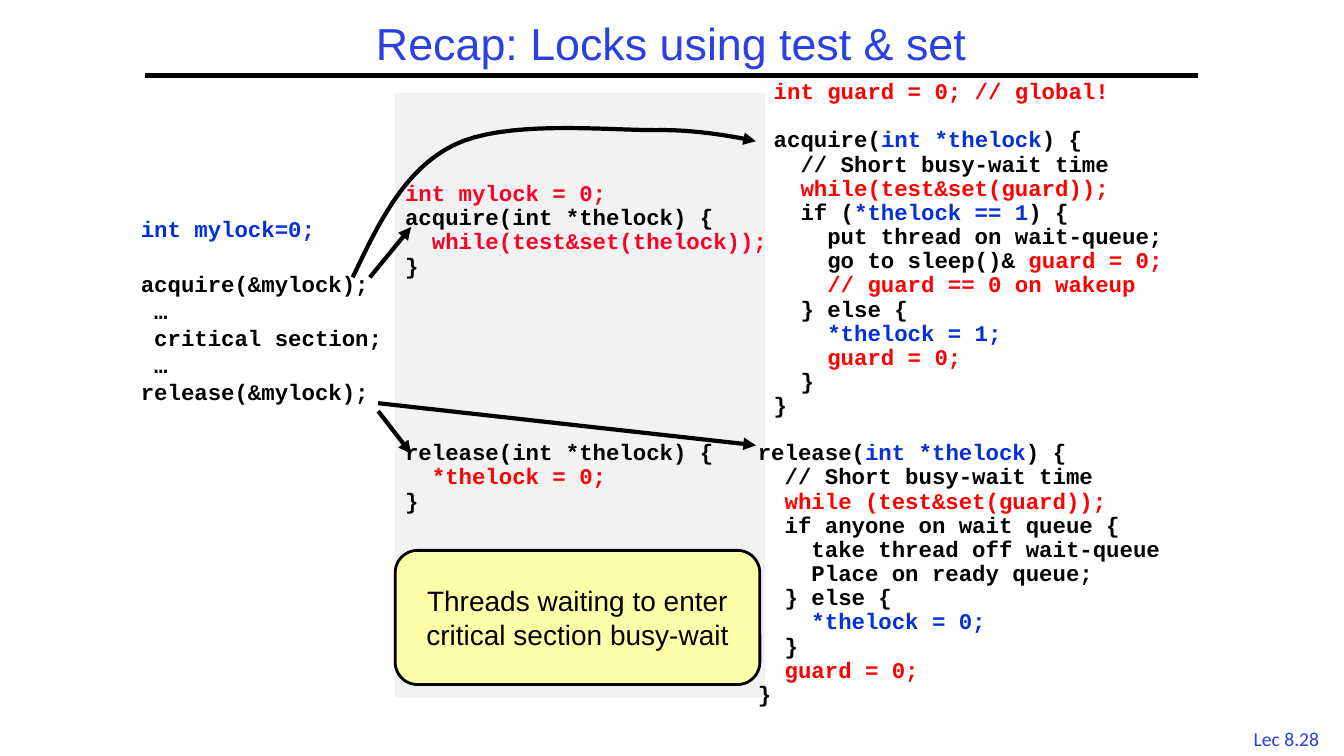
from dataclasses import dataclass

from pptx import Presentation
from pptx.dml.color import RGBColor
from pptx.enum import shapes, text
from pptx.oxml import ns, xmlchemy
from pptx.util import Cm, Pt


@dataclass(frozen=True)
class Theme:
    title: str = "2A40E2"
    black: str = "000000"
    blue: str = "0330D8"
    red: str = "FF0000"
    crimson: str = "FC0128"
    panel: str = "F2F2F2"
    callout: str = "FFFFAA"
    title_size: int = 32
    callout_size: int = 20
    code_size: int = 16
    footer_size: int = 14


theme = Theme()
BLACK, BLUE, RED, CRIMSON = theme.black, theme.blue, theme.red, theme.crimson


def write(frame, lines, font="Courier New", size=theme.code_size, color=BLACK, bold=True,
          align=text.PP_ALIGN.LEFT, spacing=0.9, before=0, gaps=None, wrap=True):
    """Write one paragraph per line; a line is a string or a list of (text, colour) runs.

    gaps maps a line index to its own space before, in points.
    """
    frame.word_wrap = wrap
    for index, line in enumerate(lines):
        paragraph = frame.add_paragraph() if index else frame.paragraphs[0]
        paragraph.alignment = align
        paragraph.line_spacing = spacing
        paragraph.space_before = Pt((gaps or {}).get(index, before if index else 0))
        for words, run_color in [(line, color)] if isinstance(line, str) else line:
            run = paragraph.add_run()
            run.text = words
            run.font.name = font
            run.font.size = Pt(size)
            run.font.bold = bold
            run.font.color.rgb = RGBColor.from_string(run_color)


def draw_stroke(shape, arrow=True):
    """Give a connector or an open curve the black 3 pt stroke."""
    shape.line.color.rgb = RGBColor.from_string(BLACK)
    shape.line.width = Pt(3)
    properties = shape._element.spPr
    if arrow:
        tail = xmlchemy.OxmlElement("a:tailEnd")
        tail.set("type", "triangle")
        properties.find(ns.qn("a:ln")).append(tail)
    if properties.find(ns.qn("a:effectLst")) is None:
        properties.append(xmlchemy.OxmlElement("a:effectLst"))


presentation = Presentation()
presentation.slide_width, presentation.slide_height = Cm(33.87), Cm(19.05)
slide = presentation.slides.add_slide(presentation.slide_layouts[5])

# Title, rule and lecture number
title = slide.shapes.title
title.left, title.top, title.width, title.height = Cm(3.66), Cm(0.43), Cm(26.52), Cm(1.47)
title.text_frame.auto_size = text.MSO_AUTO_SIZE.NONE
title.text_frame.vertical_anchor = text.MSO_ANCHOR.MIDDLE
write(title.text_frame, ["Recap: Locks using test & set"], font="Arial", size=theme.title_size,
      color=theme.title, bold=False, align=text.PP_ALIGN.CENTER)

rule = slide.shapes.add_connector(shapes.MSO_CONNECTOR.STRAIGHT, Cm(3.66), Cm(1.9), Cm(30.2), Cm(1.9))
draw_stroke(rule, arrow=False)

lecture = slide.shapes.add_textbox(Cm(31.19), Cm(18.19), Cm(2.46), Cm(0.84))
write(lecture.text_frame, ["Lec 8.28"], font="Calibri", size=theme.footer_size, color=theme.title,
      bold=False, align=text.PP_ALIGN.CENTER, spacing=1, wrap=False)

# Panel behind the busy-wait version
panel = slide.shapes.add_shape(shapes.MSO_SHAPE.RECTANGLE, Cm(9.96), Cm(2.34), Cm(9.32), Cm(15.24))
panel.shadow.inherit = False
panel.fill.solid()
panel.fill.fore_color.rgb = RGBColor.from_string(theme.panel)
panel.line.fill.background()

# Code: box in cm, lines, paragraph format
guarded_acquire = [
    [("int guard = 0; // global!", RED)],
    [("acquire(", BLACK), ("int *thelock", BLUE), (") {", BLACK)],
    "  // Short busy-wait time",
    [("  while(test&set(guard));", RED)],
    [("  if (", BLACK), ("*thelock == 1", BLUE), (") {", BLACK)],
    "    put thread on wait-queue;",
    [("    go to sleep()& ", BLACK), ("guard = 0;", RED)],
    [("    // guard == 0 on wakeup", RED)],
    "  } else {",
    [("    *thelock = 1;", BLUE)],
    [("    guard = 0;", RED)],
    "  }",
    "}",
]
guarded_release = [
    [("release(", BLACK), ("int *thelock", BLUE), (") {", BLACK)],
    "  // Short busy-wait time",
    [("  while (test&set(guard));", RED)],
    "  if anyone on wait queue {",
    "    take thread off wait-queue",
    "    Place on ready queue;",
    "  } else {",
    [("    *thelock = 0;", BLUE)],
    "  }",
    [("  guard = 0;", RED)],
    "}",
]
caller = [
    [("int mylock=0;", BLUE)],
    "acquire(&mylock);",
    " …",
    " critical section;",
    " …",
    "release(&mylock);",
]
spin_acquire = [
    [("int mylock = 0;", CRIMSON)],
    "acquire(int *thelock) {",
    [("  while(test&set(thelock));", CRIMSON)],
    "}",
]
spin_release = ["release(int *thelock) {", [("  *thelock = 0;", RED)], "}"]

for box, lines, layout in [
    ((19.25, 1.9, 10.59, 8.86), guarded_acquire, {"gaps": {1: 17.25}}),
    ((18.85, 11, 11.05, 7.04), guarded_release, {}),
    ((3.3, 5.44, 6.83, 4.52), caller, {"spacing": 0.8, "before": 4, "gaps": {1: 23.4}}),
    ((9.96, 4.47, 9.73, 2.72), spin_acquire, {}),
    ((9.96, 11, 8.46, 2.11), spin_release, {}),
]:
    code = slide.shapes.add_textbox(*map(Cm, box))
    write(code.text_frame, lines, **layout)

# Callout
callout = slide.shapes.add_shape(shapes.MSO_SHAPE.ROUNDED_RECTANGLE,
                                 Cm(9.96), Cm(13.87), Cm(9.19), Cm(3.38))
callout.shadow.inherit = False
callout.fill.solid()
callout.fill.fore_color.rgb = RGBColor.from_string(theme.callout)
callout.line.color.rgb = RGBColor.from_string(BLACK)
callout.line.width = Pt(2)
callout.text_frame.vertical_anchor = text.MSO_ANCHOR.MIDDLE
write(callout.text_frame, ["Threads waiting to enter critical section busy-wait"], font="Arial",
      size=theme.callout_size, bold=False, align=text.PP_ALIGN.CENTER, spacing=1)

# Arrows from the calls to both versions
for ends in [
    (9.53, 10.16, 19.05, 11.22),
    (9.53, 10.36, 10.36, 11.43),
    (9.32, 6.99, 10.36, 5.72),
]:
    draw_stroke(slide.shapes.add_connector(shapes.MSO_CONNECTOR.STRAIGHT, *map(Cm, ends)))

# Curved arrow: three joined cubic Bézier pieces, drawn in short steps
controls = [(8.89, 6.99), (9.53, 5.64), (10.19, 4.27), (11.43, 3.66), (12.7, 3.02),
            (15.24, 3.28), (16.51, 3.28), (17.73, 3.25), (19.05, 3.56), (19.05, 3.56)]
steps = 16
curve_points = []
for first in range(0, len(controls) - 1, 3):
    piece = controls[first:first + 4]
    for step in range(1, steps + 1):
        t = step / steps
        weights = ((1 - t) ** 3, 3 * t * (1 - t) ** 2, 3 * t ** 2 * (1 - t), t ** 3)
        curve_points.append(tuple(Cm(sum(w * point[axis] for w, point in zip(weights, piece)))
                                  for axis in (0, 1)))
builder = slide.shapes.build_freeform(*map(Cm, controls[0]))
builder.add_line_segments(curve_points, close=False)
curve = builder.convert_to_shape()
curve.shadow.inherit = False
curve.fill.background()
draw_stroke(curve)

presentation.save("out.pptx")
